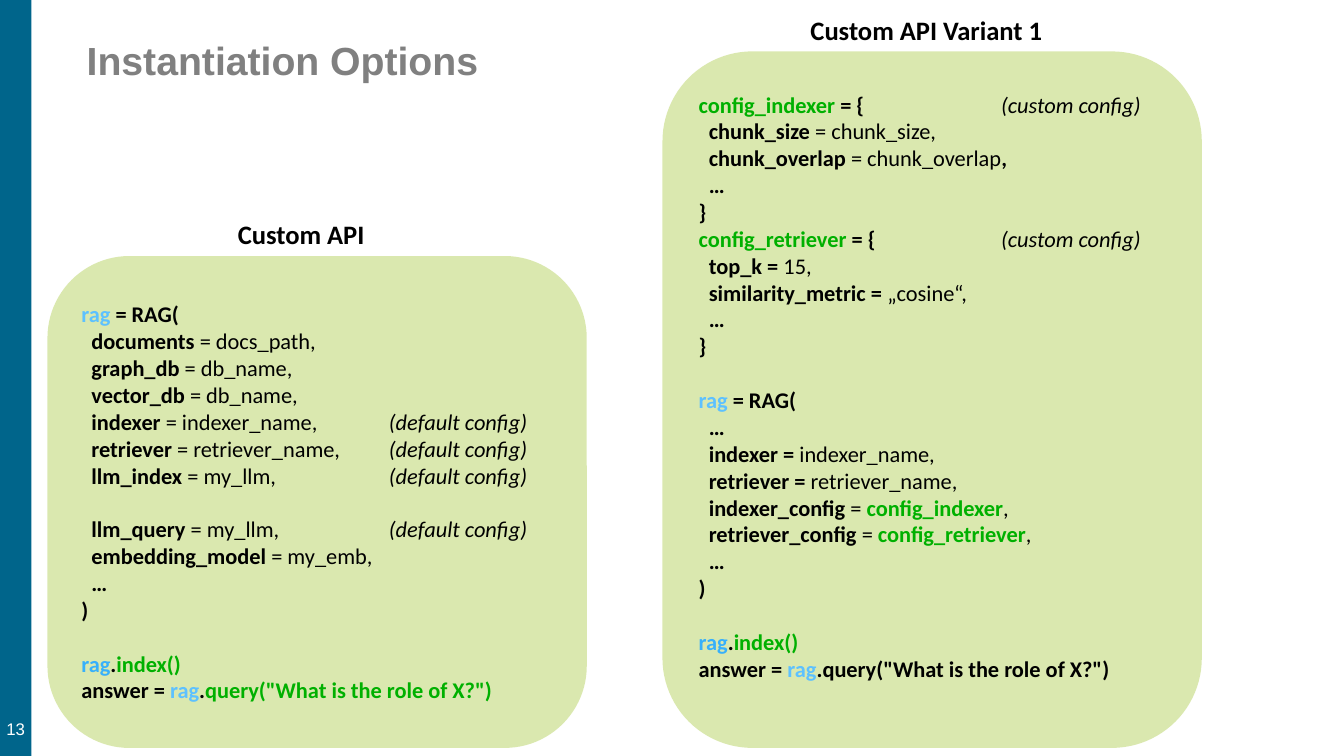
from lxml.etree import SubElement
from pptx import Presentation
from pptx.dml.color import RGBColor
from pptx.enum.shapes import MSO_SHAPE
from pptx.enum.text import MSO_ANCHOR, PP_ALIGN
from pptx.oxml.ns import qn
from pptx.util import Inches, Pt

SLIDE_WIDTH, SLIDE_HEIGHT = Inches(13.33), Inches(7.5)
COLORS = {"bar": "00658B", "title": "808080", "card": "B7D260", "white": "FFFFFF",
          "black": "000000", "name": "5DC1FF", "deep": "37B0FB", "green": "00B000"}
STYLES = {"bold": ("black", True, False), "plain": ("black", False, False),
          "note": ("black", False, True), "name": ("name", True, False),
          "deep": ("deep", True, False), "green": ("green", True, False)}
CODE_SIZE, CODE_LINE = 16, 19.2
GAP = "gap"


def argument(key, value, *extra):
    """Return one indented argument line with a bold key and a plain value."""
    return [("bold", f"  {key} "), ("plain", value), *extra]


def defaulted(key, value):
    """Return an argument line that ends with the default note."""
    return argument(key, f"= {value},\t", ("note", " (default config)"))


def config_start(name):
    """Return the opening line of a custom configuration."""
    return [("green", name), ("bold", " = {\t"), ("note", "(custom config)")]


def config_use(key, name):
    """Return an argument line that passes a configuration."""
    return argument(key, "= ", ("green", name), ("plain", ","))


def query(style):
    """Return the closing index and query lines."""
    return [GAP, [("deep", "rag"), ("bold", "."), ("green", "index()")],
            [("bold", "answer = "), ("name", "rag"), ("bold", "."),
             (style, 'query("What is the role of X?")')]]


RAG_START = [("name", "rag"), ("bold", " = RAG(")]
MORE = [("bold", "  …")]
BRACE, PARENTHESIS = [("bold", "}")], [("bold", ")")]

BASIC_CODE = [
    RAG_START,
    argument("documents", "= docs_path,"),
    argument("graph_db", "= db_name,"),
    argument("vector_db", "= db_name,"),
    defaulted("indexer", "indexer_name"),
    defaulted("retriever", "retriever_name"),
    defaulted("llm_index", "my_llm"),
    GAP,
    defaulted("llm_query", "my_llm"),
    argument("embedding_model", "= my_emb,"),
    MORE, PARENTHESIS, *query("green")]

VARIANT_CODE = [
    config_start("config_indexer"),
    argument("chunk_size", "= chunk_size,"),
    argument("chunk_overlap", "= chunk_overlap", ("bold", ",")),
    MORE, BRACE,
    config_start("config_retriever"),
    argument("top_k =", "15,"),
    argument("similarity_metric =", "„cosine“,"),
    MORE, BRACE, GAP, RAG_START, MORE,
    argument("indexer =", "indexer_name,"),
    argument("retriever =", "retriever_name,"),
    config_use("indexer_config", "config_indexer"),
    config_use("retriever_config", "config_retriever"),
    MORE, PARENTHESIS, *query("bold")]


def place(left, top, width, height):
    """Turn percentages of the slide into a box of lengths."""
    return (int(SLIDE_WIDTH * left / 100), int(SLIDE_HEIGHT * top / 100),
            int(SLIDE_WIDTH * width / 100), int(SLIDE_HEIGHT * height / 100))


def set_font(font, name, size, color, bold=False, italic=False):
    """Format a font."""
    font.name, font.size, font.bold, font.italic = name, Pt(size), bold, italic
    font.color.rgb = RGBColor.from_string(COLORS[color])


def add_filled(slide, kind, box, color):
    """Add a plain filled shape without line and shadow."""
    shape = slide.shapes.add_shape(kind, *box)
    shape.shadow.inherit = False
    shape.fill.solid()
    shape.fill.fore_color.rgb = RGBColor.from_string(COLORS[color])
    shape.line.fill.background()
    return shape


def add_text(slide, box, text, font_name, size, color, bold=False):
    """Add a text box with one formatted line and return it."""
    text_box = slide.shapes.add_textbox(*box)
    text_box.text_frame.text = text
    run = text_box.text_frame.paragraphs[0].runs[0]
    set_font(run.font, font_name, size, color, bold)
    return text_box


def add_sidebar(slide, box, number):
    """Draw the side bar with the slide number near its foot."""
    left, top, width, height = box
    add_filled(slide, MSO_SHAPE.RECTANGLE, place(*box), "bar")
    number_box = place(left, top + height * 0.78, width, height * 0.21)
    frame = add_text(slide, number_box, number, "Arial", 12, "white").text_frame
    frame.word_wrap = False
    frame.vertical_anchor = MSO_ANCHOR.BOTTOM
    frame.margin_left = frame.margin_right = Inches(0.04)
    frame.margin_top = frame.margin_bottom = Inches(0.1)
    frame.paragraphs[0].alignment = PP_ALIGN.CENTER


def add_title(slide, box, text):
    """Fill and move the title placeholder."""
    title = slide.shapes.title
    title.left, title.top, title.width, title.height = place(*box)
    frame = title.text_frame
    frame.text = text
    frame.vertical_anchor = MSO_ANCHOR.TOP
    paragraph = frame.paragraphs[0]
    paragraph.alignment = PP_ALIGN.LEFT
    paragraph.line_spacing = 0.9
    set_font(paragraph.runs[0].font, "Arial", 28, "title", True)


def write_code(frame, lines):
    """Write styled code lines, turning gaps into paragraph spacing."""
    paragraph, gap = frame.paragraphs[0], False
    for index, line in enumerate(lines):
        if line == GAP:
            gap = True
            continue
        if index:
            paragraph = frame.add_paragraph()
        paragraph.alignment = PP_ALIGN.LEFT
        tabs = SubElement(paragraph._p.get_or_add_pPr(), qn("a:tabLst"))
        SubElement(tabs, qn("a:tab"), pos=str(Inches(3)), algn="l")
        if gap:
            paragraph.space_before = Pt(CODE_LINE)
            gap = False
        for style, text in line:
            run = paragraph.add_run()
            run.text = text
            set_font(run.font, "Calibri", CODE_SIZE, *STYLES[style])


def add_code_card(slide, box, label, label_offset, lines, spare_lines=0):
    """Draw a rounded code card with its label above."""
    left, top, width, height = box
    card = add_filled(slide, MSO_SHAPE.ROUNDED_RECTANGLE, place(*box), "card")
    color = card.fill._xPr.find(qn("a:solidFill")).find(qn("a:srgbClr"))
    SubElement(color, qn("a:alpha"), val="50000")
    frame = card.text_frame
    frame.word_wrap = True
    frame.vertical_anchor = MSO_ANCHOR.MIDDLE
    frame.margin_bottom = Inches(0.05) + Pt(CODE_LINE * spare_lines)
    write_code(frame, lines)
    label_box = place(left + label_offset, top - 5.67, width / 2, 5.6)
    label_shape = add_text(slide, label_box, label, "Calibri", 19, "black", True)
    label_shape.text_frame.word_wrap = True


def main():
    """Build and save the slide."""
    presentation = Presentation()
    presentation.slide_width, presentation.slide_height = SLIDE_WIDTH, SLIDE_HEIGHT
    slide = presentation.slides.add_slide(presentation.slide_layouts[5])
    add_sidebar(slide, (0, 0, 2.33, 100), "13")
    add_title(slide, (5.7, 4.8, 82.5, 14.4), "Instantiation Options")
    add_code_card(slide, (3.53, 33.87, 40.13, 65.07), "Custom API", 13.43, BASIC_CODE)
    add_code_card(slide, (49.29, 6.8, 40.13, 92.13), "Custom API Variant 1", 10.28,
                  VARIANT_CODE, spare_lines=1)
    presentation.save("out.pptx")


if __name__ == "__main__":
    main()
